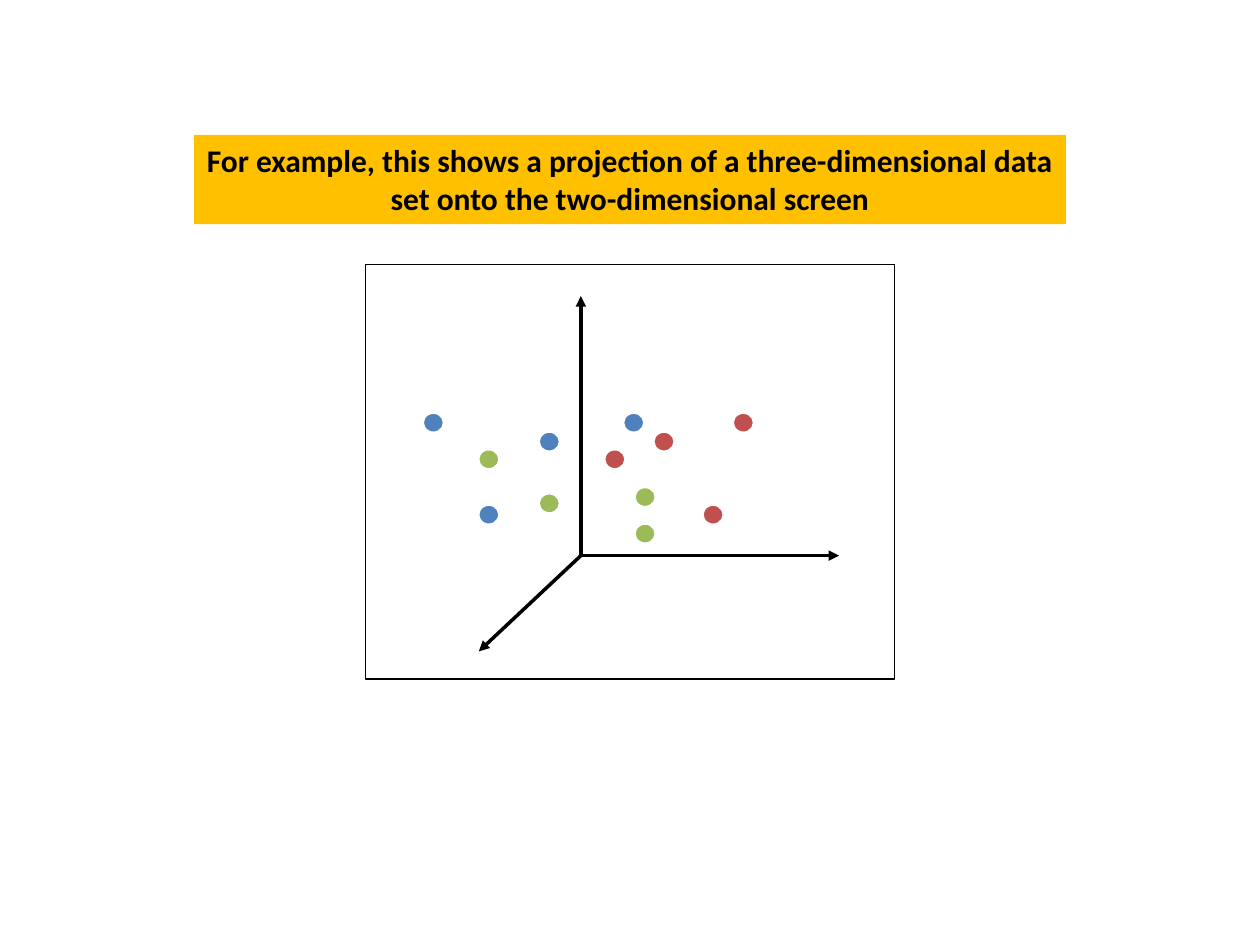
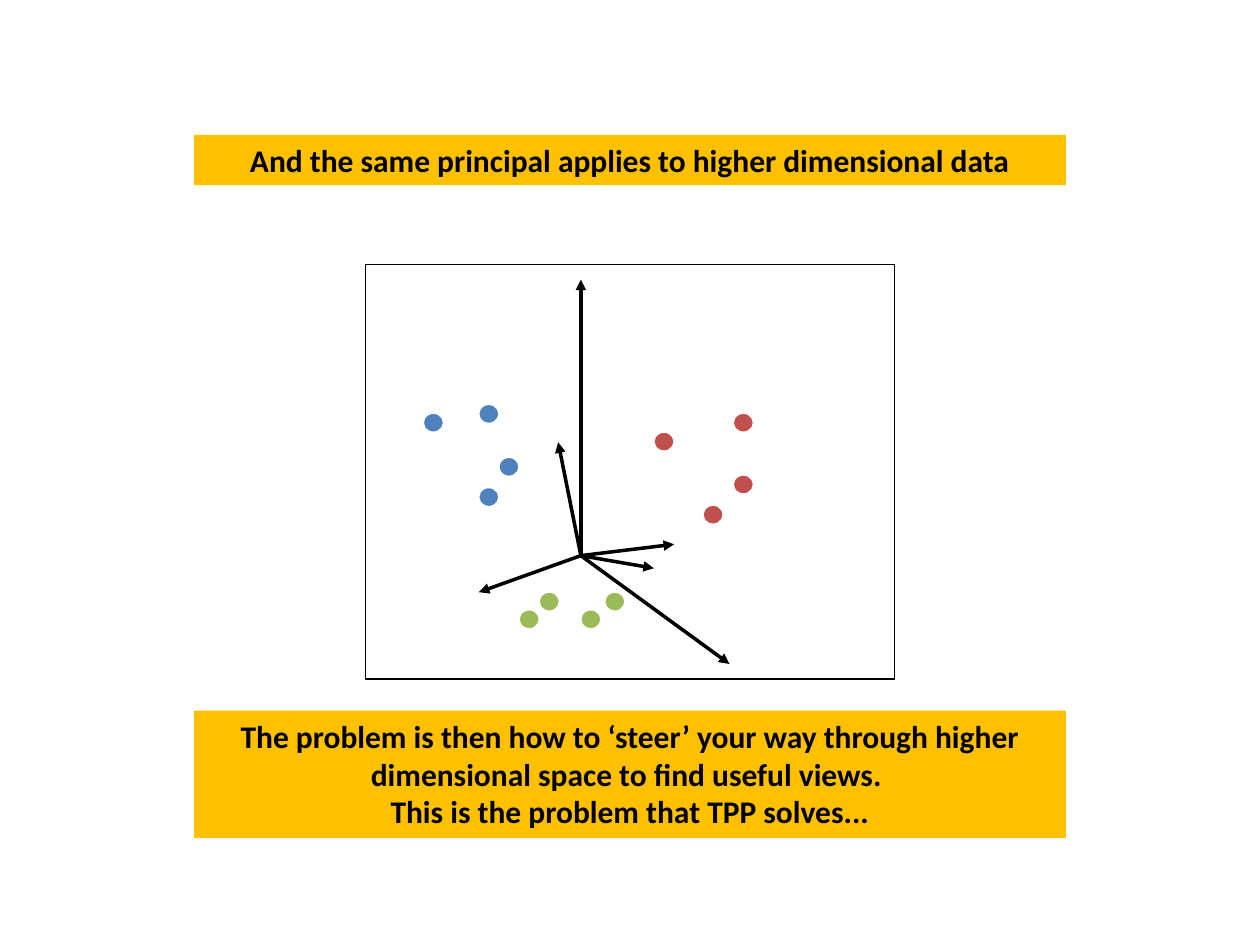
"""Two slides on projecting multi-dimensional data onto a flat screen."""
from dataclasses import dataclass

from lxml import etree
from pptx import Presentation
from pptx.dml.color import RGBColor
from pptx.enum.shapes import MSO_CONNECTOR, MSO_SHAPE
from pptx.enum.text import MSO_ANCHOR, MSO_AUTO_SIZE, PP_ALIGN
from pptx.oxml.ns import qn
from pptx.util import Inches, Pt

RECT, OVAL = MSO_SHAPE.RECTANGLE, MSO_SHAPE.OVAL
STRAIGHT = MSO_CONNECTOR.STRAIGHT
CENTER, TOP = PP_ALIGN.CENTER, MSO_ANCHOR.TOP
FIT_SHAPE = MSO_AUTO_SIZE.SHAPE_TO_FIT_TEXT


@dataclass(frozen=True)
class Theme:
    font: str = "Calibri"
    size: int = 18
    ink: RGBColor = RGBColor.from_string("000000")
    paper: RGBColor = RGBColor.from_string("FFFFFF")
    banner: RGBColor = RGBColor.from_string("FFC000")
    blue: RGBColor = RGBColor.from_string("4F81BD")
    red: RGBColor = RGBColor.from_string("C0504D")
    green: RGBColor = RGBColor.from_string("9BBB59")
    thin: float = 0.75
    axis: float = 2


theme = Theme()


def add_banner(s, text, *, top, height, fill=theme.banner, color=theme.ink,
               size=theme.size, bold=True, align=CENTER):
    sp = s.shapes.add_shape(RECT, Inches(1.54), Inches(top), Inches(6.92), Inches(height))
    sp.shadow.inherit = False
    sp.fill.solid()
    sp.fill.fore_color.rgb = fill
    sp.line.fill.background()
    tf = sp.text_frame
    tf.word_wrap = True
    tf.auto_size = FIT_SHAPE
    tf.vertical_anchor = TOP
    p = tf.paragraphs[0]
    p.text = text
    p.alignment = align
    for r in p.runs:
        r.font.name = theme.font
        r.font.size = Pt(size)
        r.font.bold = bold
        r.font.color.rgb = color


def add_outlined(shapes, kind, left, top, width, height, line, fill=None):
    sp = shapes.add_shape(kind, Inches(left), Inches(top), Inches(width), Inches(height))
    sp.shadow.inherit = False
    if fill is None:
        sp.fill.background()
    else:
        sp.fill.solid()
        sp.fill.fore_color.rgb = fill
    sp.line.color.rgb = line
    sp.line.width = Pt(theme.thin)


ORIGIN = (4.61, 4.41)
DOT_SIZE = (0.16, 0.15)

slides = [
    {
        "banners": [
            ("For example, this shows a projection of a three-dimensional data set "
             "onto the two-dimensional screen", 1.07, 0.71),
        ],
        "axes": [(6.66, 4.41), (4.61, 2.35), (3.8, 5.17)],
        "dots": {
            theme.blue: [(4.95, 3.28), (4.28, 3.43), (3.8, 4.01), (3.36, 3.28)],
            theme.red: [(5.19, 3.43), (5.58, 4.01), (5.82, 3.28), (4.8, 3.57)],
            theme.green: [(4.28, 3.92), (5.04, 4.16), (5.04, 3.87), (3.8, 3.57)],
        },
    },
    {
        "banners": [
            ("And the same principal applies to higher dimensional data", 1.07, 0.4),
            ("The problem is then how to ‘steer’ your way through higher dimensional "
             "space to find useful views. \vThis is the problem that TPP solves...",
             5.64, 1.01),
        ],
        "axes": [(3.8, 4.7), (4.61, 2.22), (5.79, 5.27), (5.19, 4.51),
                 (4.43, 3.51), (5.35, 4.32)],
        "dots": {
            theme.blue: [(3.96, 3.63), (3.8, 3.87), (3.8, 3.21), (3.36, 3.28)],
            theme.red: [(5.19, 3.43), (5.58, 4.01), (5.82, 3.28), (5.82, 3.77)],
            theme.green: [(4.8, 4.7), (4.28, 4.7), (4.61, 4.84), (4.12, 4.84)],
        },
    },
]

prs = Presentation()
prs.slide_width, prs.slide_height = Inches(10), Inches(7.5)

for content in slides:
    s = prs.slides.add_slide(prs.slide_layouts[6])
    plot = s.shapes.add_group_shape().shapes
    add_outlined(plot, RECT, 2.9, 2.1, 4.2, 3.29, theme.ink)

    for tip in content["axes"]:
        axis = plot.add_connector(STRAIGHT, *map(Inches, ORIGIN + tip))
        axis.line.color.rgb = theme.ink
        axis.line.width = Pt(theme.axis)
        ln = axis.line._get_or_add_ln()
        etree.SubElement(ln, qn("a:tailEnd"), type="triangle")
        etree.SubElement(ln.getparent(), qn("a:effectLst"))

    for color, spots in content["dots"].items():
        for spot in spots:
            add_outlined(plot, OVAL, *spot, *DOT_SIZE, theme.paper, color)

    for text, top, height in content["banners"]:
        add_banner(s, text, top=top, height=height)

prs.save("out.pptx")
